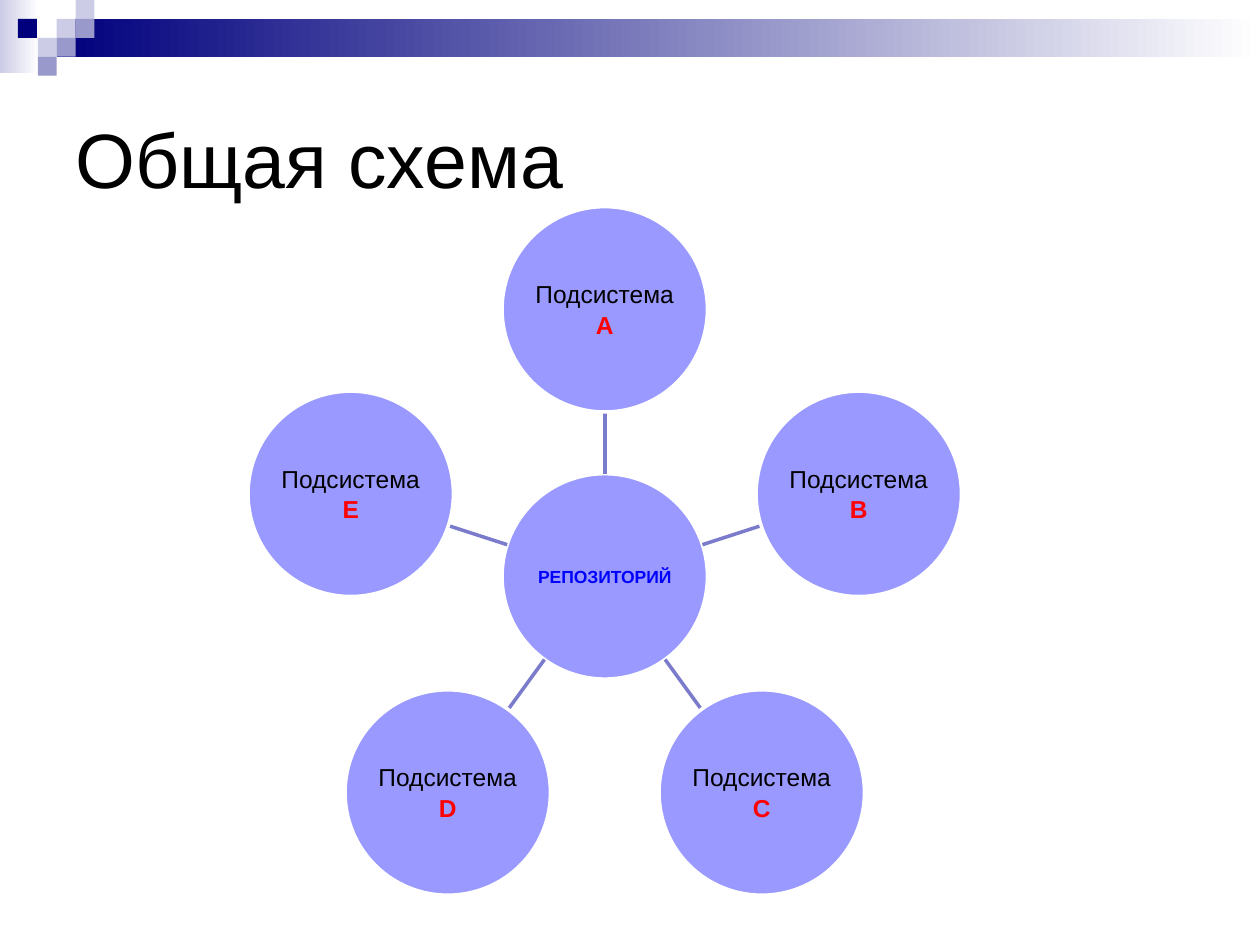
from math import cos, radians, sin

from lxml.etree import SubElement
from pptx import Presentation
from pptx.dml.color import RGBColor
from pptx.enum.shapes import MSO_CONNECTOR, MSO_SHAPE
from pptx.enum.text import MSO_ANCHOR, PP_ALIGN
from pptx.oxml.ns import qn
from pptx.util import Inches, Pt

COLUMNS, ROWS = 200, 150
COLORS = {
    "navy": "00007D", "lavender": "CCCCE6", "violet": "9999CC", "white": "FFFFFF",
    "circle": "9999FF", "spoke": "7B7BCC",
    "text": "000000", "letter": "FF0000", "hub": "0000FF",
}
HUB_X, HUB_Y = 96, 91.5
ORBIT, DIAMETER = 42.4, 32.6
TILE = 3


def color(name):
    return RGBColor.from_string(COLORS[name])


class Board:
    """Draws on one slide; all lengths are in grid cells."""

    font = "Arial"

    def __init__(self, presentation):
        self.slide = presentation.slides.add_slide(presentation.slide_layouts[6])
        self.shapes = self.slide.shapes
        self.column = presentation.slide_width / COLUMNS
        self.row = presentation.slide_height / ROWS

    def place(self, x, y, width, height):
        return (round(x * self.column), round(y * self.row),
                round(width * self.column), round(height * self.row))

    def set_lines(self, frame, lines, align):
        """Fill a frame with lines of (text, size, color, bold)."""
        frame.word_wrap = True
        frame.vertical_anchor = MSO_ANCHOR.MIDDLE
        frame.text = "\n".join(line[0] for line in lines)
        for paragraph, (_, size, ink, bold) in zip(frame.paragraphs, lines):
            paragraph.alignment = align
            font = paragraph.runs[0].font
            font.name, font.size, font.bold = self.font, Pt(size), bold
            font.color.rgb = color(ink)

    def title(self, text, *box):
        frame = self.shapes.add_textbox(*self.place(*box)).text_frame
        self.set_lines(frame, [(text, 44, "text", False)], PP_ALIGN.LEFT)

    def block(self, fill, *box, fade=False):
        block = self.shapes.add_shape(MSO_SHAPE.RECTANGLE, *self.place(*box))
        block.shadow.inherit = False
        block.line.fill.background()
        if fade:
            block.fill.gradient()
            block.fill.gradient_angle = 0
            for stop, name, position in zip(block.fill.gradient_stops, (fill, "white"), (0, 1)):
                stop.color.rgb = color(name)
                stop.position = position
        else:
            block.fill.solid()
            block.fill.fore_color.rgb = color(fill)

    def circle(self, x, y, lines):
        """Draw a labelled circle centred on x, y."""
        circle = self.shapes.add_shape(MSO_SHAPE.OVAL, *self.place(
            x - DIAMETER / 2, y - DIAMETER / 2, DIAMETER, DIAMETER))
        circle.shadow.inherit = False
        circle.fill.solid()
        circle.fill.fore_color.rgb = color("circle")
        circle.line.color.rgb = color("white")
        circle.line.width = Pt(2)
        frame = circle.text_frame
        frame.margin_left = frame.margin_right = Inches(0.01)
        frame.margin_top = frame.margin_bottom = Inches(0.01)
        self.set_lines(frame, lines, PP_ALIGN.CENTER)
        for paragraph in frame.paragraphs[1:]:
            paragraph.space_before = Pt(0.7)

    def spoke(self, start, end):
        spoke = self.shapes.add_connector(
            MSO_CONNECTOR.STRAIGHT, *self.place(*start, *end))
        spoke.line.color.rgb = color("spoke")
        spoke.line.width = Pt(2)
        SubElement(spoke._element.spPr, qn("a:effectLst"))


def around_hub(angle, distance):
    return (HUB_X + distance * cos(radians(angle)),
            HUB_Y + distance * sin(radians(angle)))


def draw_header(board):
    board.block("lavender", 0, 0, 6.2, 11.6, fade=True)
    board.block("navy", 9, 3, 191, 6, fade=True)
    tiles = [("lavender", 3, 1), ("lavender", 4, 0), ("violet", 4, 1), ("lavender", 2, 2),
             ("navy", 0.95, 1), ("violet", 3, 2), ("violet", 2, 3)]
    for fill, column, row in tiles:
        board.block(fill, column * TILE, row * TILE, TILE, TILE)


def draw_scheme(board):
    board.circle(HUB_X, HUB_Y, [("РЕПОЗИТОРИЙ", 10, "hub", True)])
    subsystems = "ABCDE"
    for index, letter in enumerate(subsystems):
        angle = -90 + index * 360 / len(subsystems)
        board.spoke(around_hub(angle, DIAMETER / 2),
                    around_hub(angle, ORBIT - DIAMETER / 2))
        board.circle(*around_hub(angle, ORBIT), [
            ("Подсистема", 14, "text", False), (letter, 14, "letter", True)])


def main():
    presentation = Presentation()
    presentation.slide_width, presentation.slide_height = Inches(10), Inches(7.5)
    board = Board(presentation)
    draw_header(board)
    board.title("Общая схема", 10, 10, 180, 30)
    draw_scheme(board)
    presentation.save("out.pptx")


if __name__ == "__main__":
    main()
